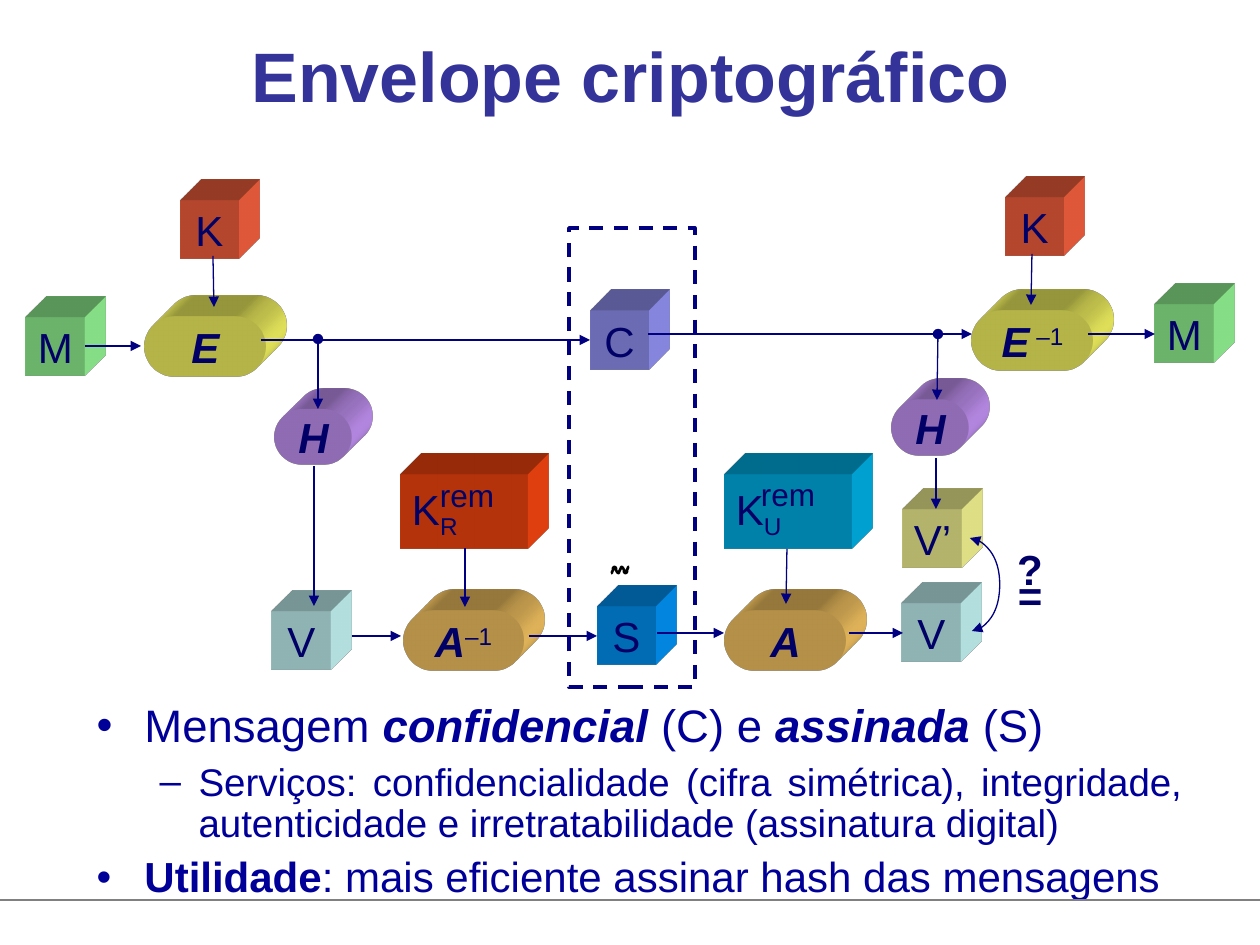
import math
from dataclasses import dataclass

from lxml import etree
from pptx import Presentation
from pptx.dml.color import RGBColor
from pptx.enum.dml import MSO_LINE
from pptx.enum.shapes import MSO_CONNECTOR, MSO_SHAPE
from pptx.enum.text import MSO_ANCHOR, MSO_AUTO_SIZE, PP_ALIGN
from pptx.oxml import parse_xml
from pptx.oxml.ns import nsdecls, qn
from pptx.util import Inches, Pt

RECT, ROUND = MSO_SHAPE.RECTANGLE, MSO_SHAPE.ROUNDED_RECTANGLE
STRAIGHT, CURVE = MSO_CONNECTOR.STRAIGHT, MSO_CONNECTOR.CURVE
LEFT, CENTER, JUSTIFY = PP_ALIGN.LEFT, PP_ALIGN.CENTER, PP_ALIGN.JUSTIFY
TOP, MIDDLE = MSO_ANCHOR.TOP, MSO_ANCHOR.MIDDLE

NAVY = RGBColor(0x00, 0x00, 0x80)
INK = RGBColor(0x00, 0x00, 0x66)
BODY = RGBColor(0x00, 0x00, 0x99)
TITLE = RGBColor(0x33, 0x33, 0x99)
GRAY = RGBColor(0x80, 0x80, 0x80)
BLACK = RGBColor(0x00, 0x00, 0x00)
CORAL = RGBColor(0xFF, 0x65, 0x41)
GREEN = RGBColor(0x99, 0xFF, 0x99)
PERIWINKLE = RGBColor(0x99, 0x99, 0xFF)
YELLOW = RGBColor(0xFF, 0xFF, 0x66)
PALE_YELLOW = RGBColor(0xFF, 0xFF, 0x99)
LILAC = RGBColor(0xCC, 0x99, 0xFF)
AQUA = RGBColor(0xCC, 0xFF, 0xFF)
BLUE = RGBColor(0x00, 0x99, 0xFF)
SAND = RGBColor(0xFF, 0xCC, 0x66)
RED = RGBColor(0xFF, 0x48, 0x10)
CYAN = RGBColor(0x00, 0xB7, 0xEF)

FONT = "Arial"
SCALE = 914400 / 126
CUBE, CIPHER, HASH, KEY = (59, 59), (121, 60), (77, 56), (127, 74)


@dataclass(frozen=True)
class Run:
    text: str
    bold: bool = False
    italic: bool = False
    baseline: int = 0


@dataclass(frozen=True)
class Block:
    x: int
    y: int
    size: tuple[int, int]
    fill: RGBColor
    label: str
    script: str = ""


@dataclass(frozen=True)
class Arrow:
    x1: int
    y1: int
    x2: int
    y2: int
    head: str = ""
    tail: str = "triangle"


@dataclass(frozen=True)
class Bullet:
    runs: tuple[Run, ...]
    size: int
    level: int = 0
    align: PP_ALIGN = JUSTIFY


BLOCKS = [
    Block(1005, 197, CUBE, CORAL, "K"), Block(180, 200, CUBE, CORAL, "K"),
    Block(275, 409, HASH, LILAC, "H"), Block(272, 611, CUBE, AQUA, "V"),
    Block(26, 317, CUBE, GREEN, "M"), Block(590, 311, CUBE, PERIWINKLE, "C"),
    Block(145, 317, CIPHER, YELLOW, "E"), Block(972, 311, CIPHER, YELLOW, "E", " –1"),
    Block(1155, 304, CUBE, GREEN, "M"), Block(401, 475, KEY, RED, "K", "R"),
    Block(597, 606, CUBE, BLUE, "S"), Block(403, 611, CIPHER, SAND, "A", "–1"),
    Block(725, 475, KEY, CYAN, "K", "U"), Block(902, 603, CUBE, AQUA, "V"),
    Block(725, 611, CIPHER, SAND, "A"), Block(892, 400, HASH, LILAC, "H"),
    Block(903, 509, CUBE, PALE_YELLOW, "V’"),
]

ARROWS = [
    Arrow(314, 466, 314, 606), Arrow(318, 339, 318, 409, "oval"),
    Arrow(85, 346, 141, 346), Arrow(213, 256, 214, 307), Arrow(261, 340, 590, 340),
    Arrow(1032, 254, 1031, 305), Arrow(1088, 334, 1155, 334), Arrow(648, 334, 972, 334),
    Arrow(352, 636, 401, 636), Arrow(465, 548, 465, 607), Arrow(529, 636, 597, 636),
    Arrow(657, 633, 724, 633), Arrow(787, 549, 786, 604), Arrow(849, 633, 903, 633),
    Arrow(936, 458, 936, 509), Arrow(938, 334, 937, 400, "oval"),
]

BULLETS = [
    Bullet((Run("Mensagem "), Run("confidencial", True, True), Run(" (C) e "),
            Run("assinada ", True, True), Run("(S)")), 26),
    Bullet((Run("Serviços: confidencialidade (cifra simétrica), integridade, "
                "autenticidade e irretratabilidade (assinatura digital)"),), 22, 1),
    Bullet((Run("Utilidade", True), Run(": mais eficiente assinar hash das mensagens")),
           24, align=LEFT),
]


def px(*values: int) -> list[int]:
    return [round(v * SCALE) for v in values]


def write(p, runs, size: int, color: RGBColor, align: PP_ALIGN) -> None:
    p.alignment = align
    for run in runs:
        r = p.add_run()
        r.text = run.text
        r.font.name, r.font.size = FONT, Pt(size)
        r.font.bold, r.font.italic = run.bold, run.italic
        r.font.color.rgb = color
        if run.baseline:
            r._r.get_or_add_rPr().set("baseline", str(run.baseline * 1000))


def clear_insets(tf, left: int = 0) -> None:
    tf.word_wrap = True
    tf.margin_left = px(left)[0]
    tf.margin_right = tf.margin_top = tf.margin_bottom = 0


def extrude(sp, color: RGBColor) -> None:
    sp._element.spPr.append(parse_xml(
        f'<a:scene3d {nsdecls("a")}><a:camera prst="legacyObliqueTopRight"/>'
        '<a:lightRig rig="legacyFlat3" dir="b"/></a:scene3d>'))
    sp._element.spPr.append(parse_xml(
        f'<a:sp3d {nsdecls("a")} extrusionH="430200" prstMaterial="legacyMatte">'
        '<a:bevelT w="13500" h="13500" prst="angle"/>'
        '<a:bevelB w="13500" h="13500" prst="angle"/>'
        f'<a:extrusionClr><a:srgbClr val="{color}"/></a:extrusionClr></a:sp3d>'))


def add_block(shapes, b: Block) -> None:
    is_function, is_key = b.size in (CIPHER, HASH), b.size == KEY
    sp = shapes.add_shape(ROUND if is_function else RECT, *px(b.x, b.y, *b.size))
    if is_function:
        sp.adjustments[0] = 0.5
    sp.fill.solid()
    sp.fill.fore_color.rgb = b.fill
    sp.line.fill.background()
    sp.shadow.inherit = False
    extrude(sp, b.fill)
    tf = sp.text_frame
    clear_insets(tf, 11 if is_key else 0)
    tf.vertical_anchor = MIDDLE
    runs = [Run(b.label, is_function, is_function)]
    if b.script:
        runs.append(Run(b.script, baseline=-25 if is_key else 30))
    write(tf.paragraphs[0], runs, 24, INK, LEFT if is_key else CENTER)


def add_arrow(shapes, a: Arrow, kind=STRAIGHT, color: RGBColor = NAVY):
    s = shapes.add_connector(kind, *px(a.x1, a.y1, a.x2, a.y2))
    s.line.color.rgb, s.line.width = color, Pt(0.75)
    for tag, end in (("a:headEnd", a.head), ("a:tailEnd", a.tail)):
        if end:
            etree.SubElement(s.line._get_or_add_ln(), qn(tag), type=end)
    etree.SubElement(s._element.spPr, qn("a:effectLst"))
    return s


def add_label(shapes, x: int, y: int, w: int, h: int, run: Run, size: int) -> None:
    tf = shapes.add_textbox(*px(x, y, w, h)).text_frame
    clear_insets(tf)
    write(tf.paragraphs[0], [run], size, INK, CENTER)


def add_bullet(p, b: Bullet) -> None:
    margin, hang, char = ((0.38, 0.38, "•"), (0.81, 0.31, "–"))[b.level]
    p.level = b.level
    pPr = p._p.get_or_add_pPr()
    pPr.set("marL", str(Inches(margin)))
    pPr.set("indent", str(-Inches(hang)))
    etree.SubElement(pPr, qn("a:buChar"), char=char)
    p.line_spacing = 0.9
    write(p, b.runs, b.size, BODY, b.align)


def place(sp, x: int, y: int, w: int, h: int, anchor):
    sp.left, sp.top, sp.width, sp.height = px(x, y, w, h)
    tf = sp.text_frame
    tf.auto_size, tf.vertical_anchor = MSO_AUTO_SIZE.NONE, anchor
    return tf


def add_squiggle(shapes) -> None:
    points = [(611 + 18 * i / 30, 570 + 3 * math.cos(math.pi * i / 6)) for i in range(31)]
    fb = shapes.build_freeform(*points[0], scale=SCALE)
    fb.add_line_segments(points[1:], close=False)
    sp = fb.convert_to_shape()
    sp.fill.background()
    sp.line.color.rgb, sp.line.width = BLACK, Pt(1.5)
    sp.shadow.inherit = False


def main() -> None:
    prs = Presentation()
    prs.slide_width, prs.slide_height = Inches(10), Inches(7.5)
    s = prs.slides.add_slide(prs.slide_layouts[1])
    shapes = s.shapes
    tf = place(shapes.title, 95, -4, 1071, 158, MIDDLE)
    write(tf.paragraphs[0], [Run("Envelope criptográfico", True)], 40, TITLE, CENTER)
    tf = place(s.placeholders[1], 84, 697, 1111, 179, TOP)
    for i, bullet in enumerate(BULLETS):
        p = tf.add_paragraph() if i else tf.paragraphs[0]
        add_bullet(p, bullet)
        p.space_before = Pt(6 if i else 0)

    add_arrow(shapes, Arrow(0, 900, 1260, 900, tail=""), color=GRAY)
    channel = shapes.add_shape(RECT, *px(569, 228, 126, 459))
    channel.fill.background()
    channel.line.color.rgb, channel.line.width = NAVY, Pt(2)
    channel.line.dash_style = MSO_LINE.DASH
    channel.shadow.inherit = False
    for block in BLOCKS:
        add_block(shapes, block)
    for arrow in ARROWS:
        add_arrow(shapes, arrow)
    for x, y in ((437, 476), (758, 475)):
        add_label(shapes, x, y, 60, 36, Run("rem"), 18)
    for text, y in (("=", 570), ("?", 544)):
        add_label(shapes, 1015, y, 30, 48, Run(text, True), 24)
    add_squiggle(shapes)
    check = add_arrow(shapes, Arrow(970, 538, 972, 631, "triangle"), CURVE)
    guides = check._element.spPr.find(qn("a:prstGeom")).get_or_add_avLst()
    etree.SubElement(guides, qn("a:gd"), name="adj1", fmla="val 1500000")
    prs.save("out.pptx")


if __name__ == "__main__":
    main()
